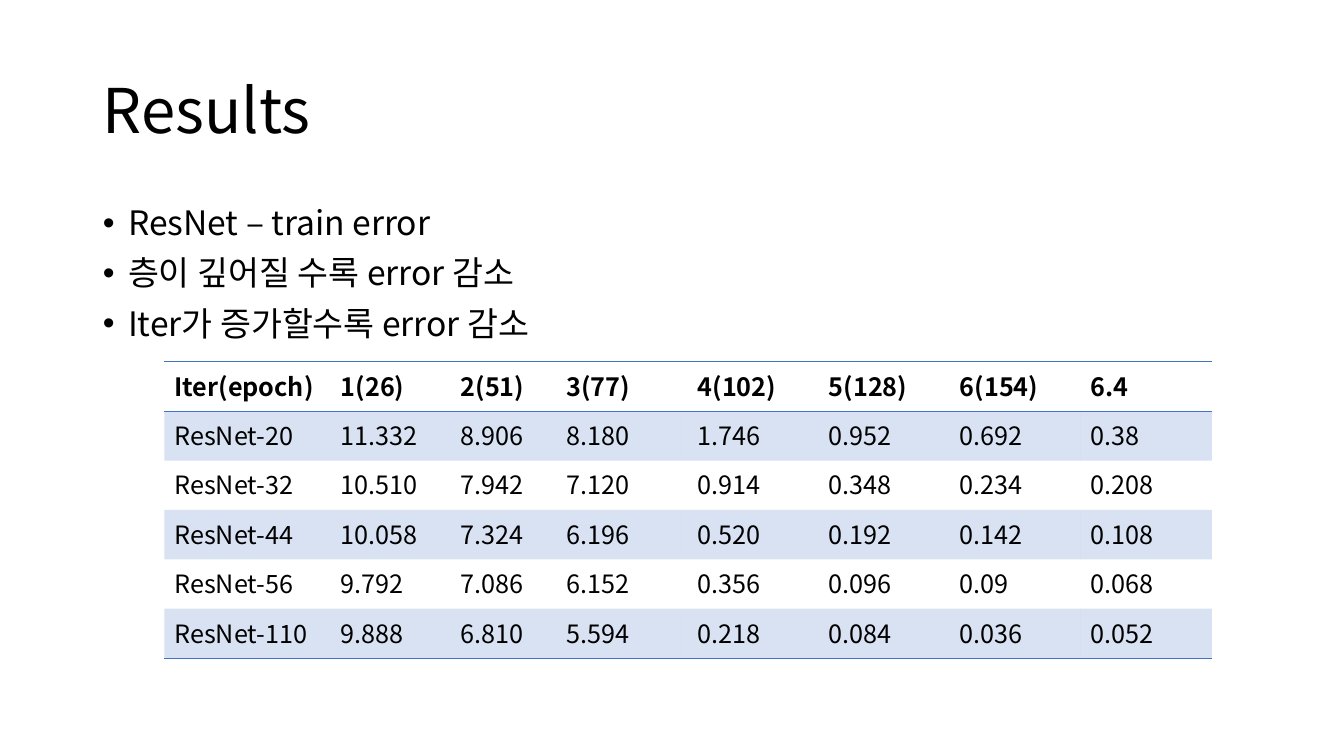
from dataclasses import dataclass

from lxml.etree import SubElement
from pptx import Presentation
from pptx.dml.color import RGBColor as Rgb
from pptx.enum.text import MSO_ANCHOR as Anchor, MSO_AUTO_SIZE as AutoSize, PP_ALIGN as Align
from pptx.oxml.ns import qn
from pptx.util import Inches, Pt


@dataclass(frozen=True)
class Theme:
    font: str = "Noto Sans CJK KR"
    text: str = "000000"
    accent: str = "4472C4"
    band_alpha: int = 20
    title_size: int = 44
    body_size: int = 24
    table_size: int = 18
    rule_width: int = 1


THEME = Theme()
WIDTH, HEIGHT = 13.33, 7.5
PLAIN_TABLE_STYLE = "{2D5ABB26-0587-4C30-8999-92F81FD0307C}"

# Boxes as left, top, width, height
MARGIN = 0.92
TITLE_BOX = (MARGIN, 0.4, WIDTH - 2 * MARGIN, 1.45)
FINDINGS_BOX = (MARGIN, 2, 9.52, 1.6)
TABLE_CORNER = (1.63, 3.59)
ROW_HEIGHT = 0.49
COLUMN_WIDTHS = [1.65, 1.19, 1.05] + [1.3] * 5

TITLE = "Results"
FINDINGS = [
    "ResNet – train error",
    "층이 깊어질 수록 error 감소",
    "Iter가 증가할수록 error 감소",
]
TRAIN_ERRORS = [
    ["Iter(epoch)", "1(26)", "2(51)", "3(77)", "4(102)", "5(128)", "6(154)", "6.4"],
    ["ResNet-20", "11.332", "8.906", "8.180", "1.746", "0.952", "0.692", "0.38"],
    ["ResNet-32", "10.510", "7.942", "7.120", "0.914", "0.348", "0.234", "0.208"],
    ["ResNet-44", "10.058", "7.324", "6.196", "0.520", "0.192", "0.142", "0.108"],
    ["ResNet-56", "9.792", "7.086", "6.152", "0.356", "0.096", "0.09", "0.068"],
    ["ResNet-110", "9.888", "6.810", "5.594", "0.218", "0.084", "0.036", "0.052"],
]


def apply_format(target, values):
    for attribute, value in values.items():
        setattr(target, attribute, value)


def write_run(paragraph, words, size, bold=False):
    run = paragraph.add_run()
    run.text = words
    apply_format(run.font, {"name": THEME.font, "size": Pt(size), "bold": bold})
    run.font.color.rgb = Rgb.from_string(THEME.text)
    # Hangul takes its typeface from the East Asian slot
    SubElement(run.font._element, qn("a:ea"), typeface=THEME.font)


def place(placeholder, box, anchor):
    sides = ("left", "top", "width", "height")
    apply_format(placeholder, dict(zip(sides, map(Inches, box))))
    apply_format(placeholder.text_frame, {
        "word_wrap": True, "auto_size": AutoSize.NONE, "vertical_anchor": anchor})
    return placeholder.text_frame


def add_title(slide):
    heading = place(slide.shapes.title, TITLE_BOX, Anchor.MIDDLE).paragraphs[0]
    apply_format(heading, {"alignment": Align.LEFT, "line_spacing": 0.9})
    write_run(heading, TITLE, THEME.title_size)


def add_findings(slide):
    frame = place(slide.placeholders[1], FINDINGS_BOX, Anchor.TOP)
    for number, finding in enumerate(FINDINGS):
        item = frame.add_paragraph() if number else frame.paragraphs[0]
        apply_format(item, {"line_spacing": 0.9, "space_before": Pt(10)})
        write_run(item, finding, THEME.body_size)
        # Hanging bullet
        properties = item._p.get_or_add_pPr()
        properties.set("marL", str(Inches(0.25)))
        properties.set("indent", str(-Inches(0.25)))
        SubElement(properties, qn("a:buFont"), typeface="Arial")
        SubElement(properties, qn("a:buChar"), char="•")


def rule_cell(cell, sides):
    """Draw accent rules; call before filling, as lines come first in the XML."""
    for side in sides:
        line = SubElement(cell._tc.get_or_add_tcPr(), qn(f"a:ln{side}"),
                          w=str(Pt(THEME.rule_width)))
        SubElement(SubElement(line, qn("a:solidFill")), qn("a:srgbClr"), val=THEME.accent)


def fill_cell(cell, banded):
    if not banded:
        cell.fill.background()
        return
    cell.fill.solid()
    cell.fill.fore_color.rgb = Rgb.from_string(THEME.accent)
    tint = cell._tc.tcPr.find(qn("a:solidFill")).find(qn("a:srgbClr"))
    SubElement(tint, qn("a:alpha"), val=str(THEME.band_alpha * 1000))


def add_error_table(slide):
    row_count = len(TRAIN_ERRORS)
    size = (sum(COLUMN_WIDTHS), row_count * ROW_HEIGHT)
    table = slide.shapes.add_table(
        row_count, len(COLUMN_WIDTHS), *map(Inches, TABLE_CORNER + size)).table
    apply_format(table, {"first_row": True, "horz_banding": False})
    table._tbl.tblPr.find(qn("a:tableStyleId")).text = PLAIN_TABLE_STYLE
    for column, width in zip(table.columns, COLUMN_WIDTHS):
        column.width = Inches(width)

    # Rules frame the header and close the table; odd rows are banded
    rules = {0: "TB", row_count - 1: "B"}
    for row, errors in enumerate(TRAIN_ERRORS):
        table.rows[row].height = Inches(ROW_HEIGHT)
        for column, entry in enumerate(errors):
            cell = table.cell(row, column)
            rule_cell(cell, rules.get(row, ""))
            fill_cell(cell, banded=row % 2 == 1)
            write_run(cell.text_frame.paragraphs[0], entry, THEME.table_size, bold=row == 0)


def main():
    deck = Presentation()
    apply_format(deck, {"slide_width": Inches(WIDTH), "slide_height": Inches(HEIGHT)})
    slide = deck.slides.add_slide(deck.slide_layouts[1])
    add_title(slide)
    add_findings(slide)
    add_error_table(slide)
    deck.save("out.pptx")


if __name__ == "__main__":
    main()
